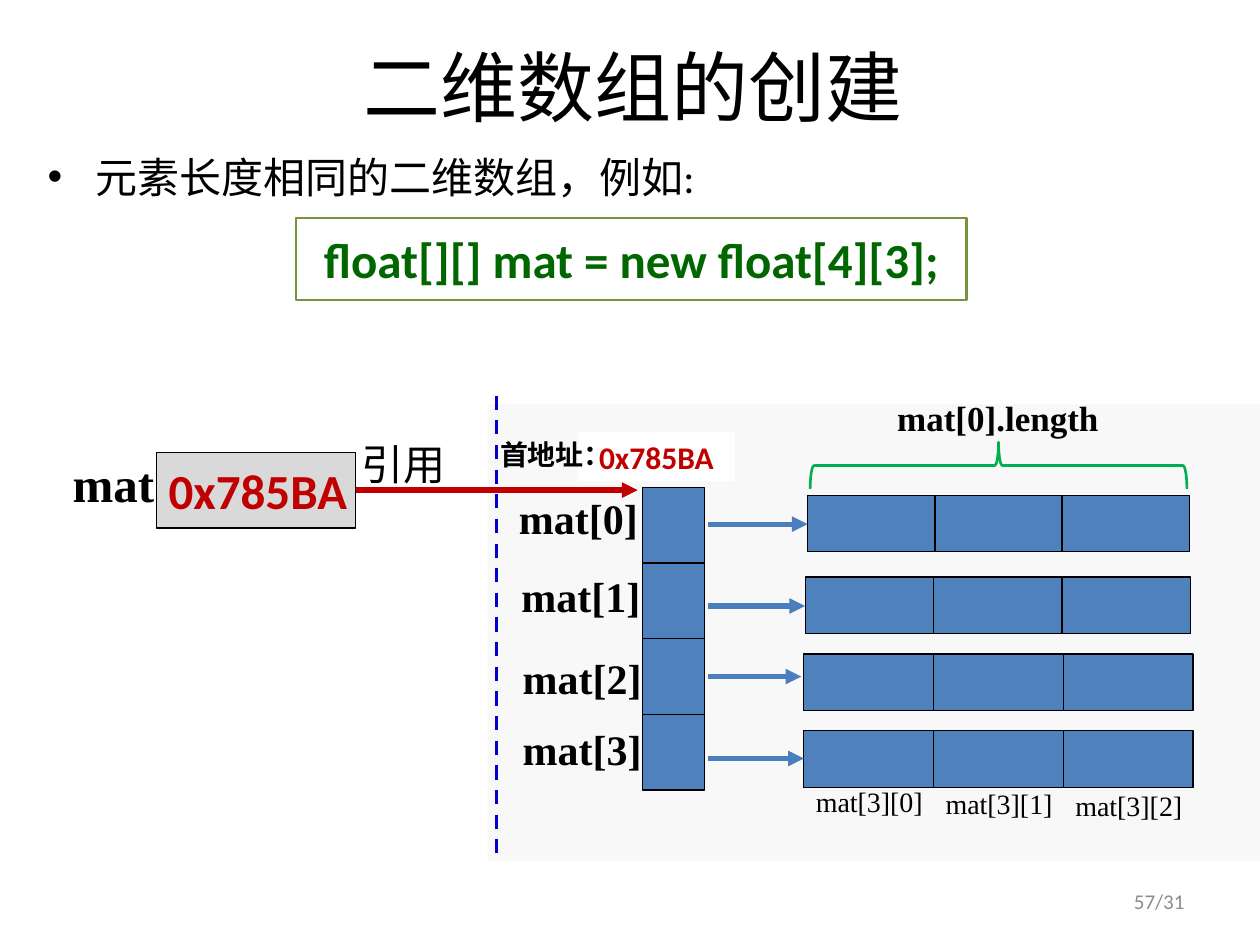
from lxml import etree
from pptx import Presentation
from pptx.dml.color import RGBColor
from pptx.enum.dml import MSO_LINE
from pptx.enum.shapes import MSO_CONNECTOR, MSO_SHAPE
from pptx.enum.text import MSO_ANCHOR, PP_ALIGN
from pptx.oxml.ns import qn
from pptx.util import Inches, Pt

RECT, BRACE = MSO_SHAPE.RECTANGLE, MSO_SHAPE.RIGHT_BRACE
LEFT, CENTER, RIGHT = PP_ALIGN.LEFT, PP_ALIGN.CENTER, PP_ALIGN.RIGHT
TOP, MIDDLE = MSO_ANCHOR.TOP, MSO_ANCHOR.MIDDLE
SANS, SERIF = "Calibri", "Times New Roman"
BLACK, BLUE, RED = "000000", "4F81BD", "C00000"

TITLE = "二维数组的创建"
BULLET = "元素长度相同的二维数组，例如:"
CODE = "float[][] mat = new float[4][3];"
ADDRESS = "0x785BA"

# Reference column: left, top, width, height of one cell
REF_X, REF_Y, REF_W, REF_H = 5.1, 3.87, 0.49, 0.6
ROW_H, COLUMNS = 0.45, 3
ARROW_X = 5.62
# label, label left, label top, row left, row top, cell width, arrow end, arrow y
ROWS = [
    ("mat[0]", 4.02, 3.86, 6.41, 3.93, 1.01, 6.41, 4.16),
    ("mat[1]", 4.04, 4.48, 6.39, 4.58, 1.02, 6.39, 4.81),
    ("mat[2]", 4.05, 5.13, 6.38, 5.19, 1.03, 6.36, 5.37),
    ("mat[3]", 4.05, 5.69, 6.38, 5.8, 1.03, 6.38, 6.02),
]
ELEMENTS = [("mat[3][0]", 6.3, 6.18), ("mat[3][1]", 7.33, 6.19), ("mat[3][2]", 8.36, 6.21)]

prs = Presentation()
prs.slide_width, prs.slide_height = Inches(10), Inches(7.5)
s = prs.slides.add_slide(prs.slide_layouts[6])


def rgb(color):
    return RGBColor.from_string(color)


def write(shape, text, size, color=BLACK, font=SANS, bold=False, align=LEFT,
          anchor=TOP, wrap=True):
    tf = shape.text_frame
    tf.text = text
    tf.word_wrap = wrap
    tf.vertical_anchor = anchor
    p = tf.paragraphs[0]
    p.alignment = align
    f = p.runs[0].font
    f.size, f.name, f.bold = Pt(size), font, bold
    f.color.rgb = rgb(color)
    return tf


def label(text, x, y, w, h, size, **style):
    tb = s.shapes.add_textbox(Inches(x), Inches(y), Inches(w), Inches(h))
    return write(tb, text, size, **style)


def box(x, y, w, h, fill=None, line=None, width=0.75, kind=RECT):
    sp = s.shapes.add_shape(kind, Inches(x), Inches(y), Inches(w), Inches(h))
    sp.shadow.inherit = False
    if fill:
        sp.fill.solid()
        sp.fill.fore_color.rgb = rgb(fill)
    else:
        sp.fill.background()
    if line:
        sp.line.color.rgb = rgb(line)
        sp.line.width = Pt(width)
    else:
        sp.line.fill.background()
    return sp


def connect(x1, y1, x2, y2, color, width=3, arrow=True):
    c = s.shapes.add_connector(MSO_CONNECTOR.STRAIGHT, Inches(x1), Inches(y1),
                               Inches(x2), Inches(y2))
    c.line.color.rgb = rgb(color)
    c.line.width = Pt(width)
    if arrow:
        etree.SubElement(c.line._get_or_add_ln(), qn("a:tailEnd"), type="triangle")
    etree.SubElement(c._element.spPr, qn("a:effectLst"))
    return c


# Heading, bullet and page number
label(TITLE, 0.9, 0.1, 8.25, 1.16, 44, align=CENTER, anchor=MIDDLE)
body = label(BULLET, 0.28, 1.15, 9, 0.55, 24)
pPr = body.paragraphs[0]._p.get_or_add_pPr()
pPr.set("marL", str(Inches(0.38)))
pPr.set("indent", str(-Inches(0.38)))
etree.SubElement(pPr, qn("a:buFont"), typeface="Arial")
etree.SubElement(pPr, qn("a:buChar"), char="•")
label("57/31", 7.17, 6.95, 2.33, 0.4, 12, color="8C8C8C", align=RIGHT, anchor=MIDDLE)
write(box(2.35, 1.73, 5.32, 0.65, line="77933C", width=1.5), CODE, 28,
      color="006600", bold=True, align=CENTER, anchor=MIDDLE, wrap=False)

# Heap area: reference column and the rows it points to
box(3.87, 3.21, 6.13, 3.62, fill="F8F8F8")
for i, (name, name_x, name_y, x, y, cell_w, arrow_end, arrow_y) in enumerate(ROWS):
    box(REF_X, REF_Y + i * REF_H, REF_W, REF_H, BLUE, BLACK)
    for col in range(COLUMNS):
        box(x + col * cell_w, y, cell_w, ROW_H, BLUE, BLACK)
    label(name, name_x, name_y, 1.27, 0.5, 24, font=SERIF, bold=True)
    connect(ARROW_X, arrow_y, arrow_end, arrow_y, "4B7EBC")
for name, x, y in ELEMENTS:
    label(name, x, y, 1.2, 0.37, 16, font=SERIF, align=CENTER)

# Row length brace
label("mat[0].length", 7, 3.1, 1.84, 0.44, 20, font=SERIF, bold=True, align=CENTER)
box(7.74, 2.2, 0.37, 2.99, line="00B050", width=1.5, kind=BRACE).rotation = 270

# Stack variable and its reference into the heap
label("mat", 0.39, 3.55, 1.02, 0.57, 28, font=SERIF, bold=True, align=CENTER)
connect(2.82, 3.89, 5.06, 3.89, RED)
divider = connect(3.94, 3.14, 3.94, 6.81, "0000CC", width=2, arrow=False)
divider.line.dash_style = MSO_LINE.DASH
write(box(1.24, 3.59, 1.58, 0.6, "D9D9D9", BLACK), ADDRESS, 28, color=RED,
      bold=True, anchor=MIDDLE, wrap=False)
tf = write(box(4.59, 3.43, 1.24, 0.39, "FFFFFF"), ADDRESS, 18, color=RED,
           bold=True, align=CENTER, anchor=MIDDLE)
tf.margin_left = tf.margin_right = tf.margin_top = tf.margin_bottom = 0
label("首地址：", 3.87, 3.42, 1.01, 0.37, 16, bold=True)
label("引用", 2.77, 3.43, 0.88, 0.5, 24, wrap=False)

prs.save("out.pptx")
